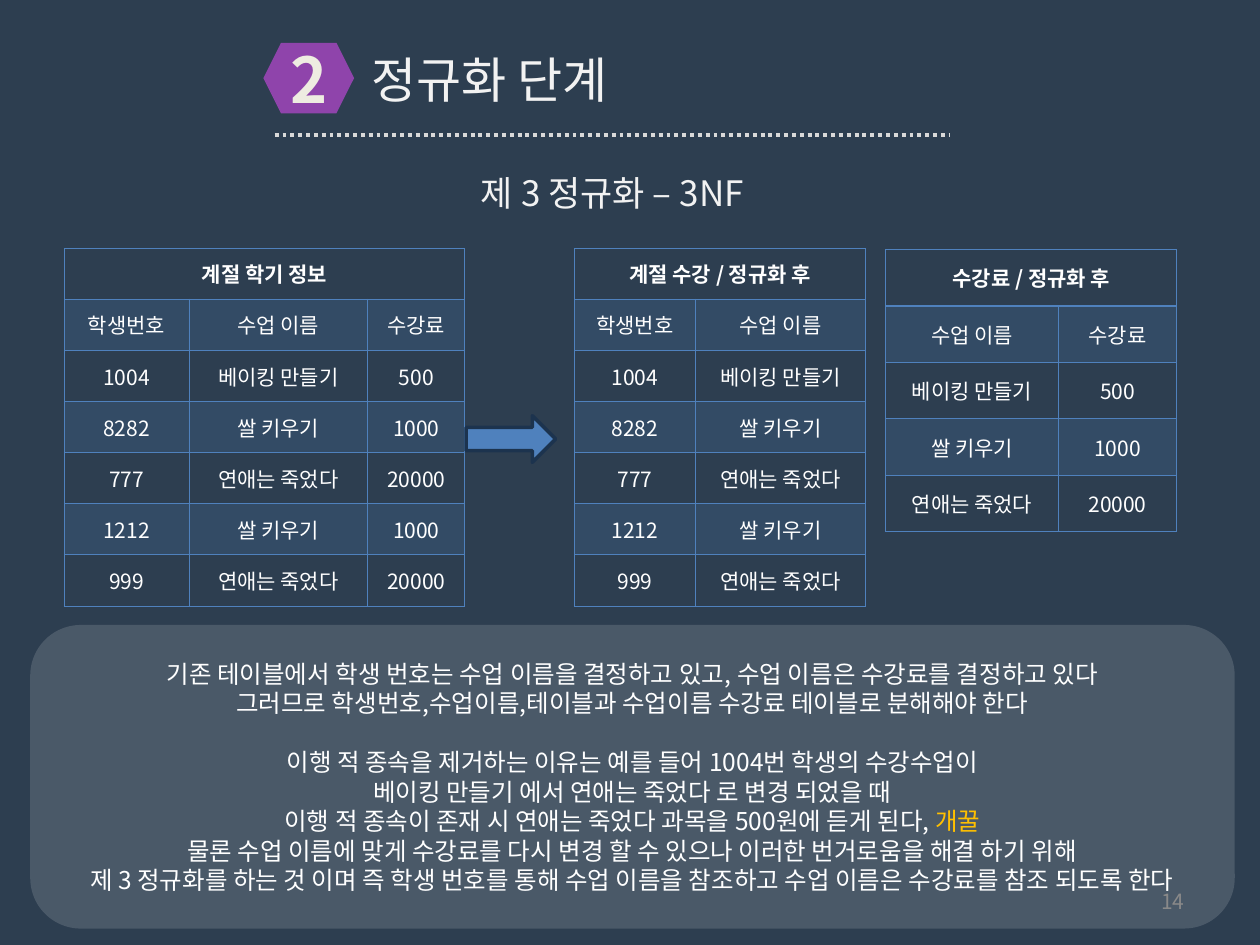
from lxml.etree import SubElement
from pptx import Presentation
from pptx.dml.color import RGBColor
from pptx.enum.dml import MSO_LINE
from pptx.enum.shapes import MSO_CONNECTOR, MSO_SHAPE
from pptx.enum.text import MSO_ANCHOR, PP_ALIGN
from pptx.oxml.ns import qn
from pptx.util import Inches, Pt

FONT = "Noto Sans CJK KR"
COLORS = {
    "background": "2D3E50", "badge": "8F44AB", "badge_text": "EEECE1",
    "heading": "F2F2F2", "rule": "D9D9D9", "blue": "4F81BD",
    "arrow_edge": "1C334E", "white": "FFFFFF", "accent": "FFC000",
    "page": "898989",
}
COURSES = [
    ("1004", "베이킹 만들기", "500"),
    ("8282", "쌀 키우기", "1000"),
    ("777", "연애는 죽었다", "20000"),
    ("1212", "쌀 키우기", "1000"),
    ("999", "연애는 죽었다", "20000"),
]
HEADERS = ("학생번호", "수업 이름", "수강료")
# Each paragraph is a list of (text, color) runs; each group is set apart by a gap.
EXPLANATION = [
    [
        [("기존 테이블에서 학생 번호는 수업 이름을 결정하고 있고, 수업 이름은 수강료를 결정하고 있다", "white")],
        [("그러므로 학생번호,수업이름,테이블과 수업이름 수강료 테이블로 분해해야 한다", "white")],
    ],
    [
        [("이행 적 종속을 제거하는 이유는 예를 들어 1004번 학생의 수강수업이", "white")],
        [("베이킹 만들기 에서 연애는 죽었다 로 변경 되었을 때", "white")],
        [("이행 적 종속이 존재 시 연애는 죽었다 과목을 500원에 듣게 된다, ", "white"),
         ("개꿀", "accent")],
        [("물론 수업 이름에 맞게 수강료를 다시 변경 할 수 있으나 이러한 번거로움을 해결 하기 위해", "white")],
        [("제 3 정규화를 하는 것 이며 즉 학생 번호를 통해 수업 이름을 참조하고 "
          "수업 이름은 수강료를 참조 되도록 한다", "white")],
    ],
]


def rgb(name):
    return RGBColor.from_string(COLORS[name])


def style(paragraph, size, color, bold=False, align=PP_ALIGN.CENTER):
    paragraph.alignment = align
    font = paragraph.font
    font.size, font.bold, font.name = Pt(size), bold, FONT
    font.color.rgb = rgb(color)
    defaults = paragraph._p.pPr.find(qn("a:defRPr"))
    SubElement(defaults, qn("a:ea"), typeface=FONT)


def fill_solid(fill, color, opacity=100):
    fill.solid()
    fill.fore_color.rgb = rgb(color)
    if opacity < 100:
        srgb = fill._xPr.find(qn("a:solidFill"))[0]
        SubElement(srgb, qn("a:alpha"), val=str(opacity * 1000))


def add_filled(shapes, kind, box, color, opacity=100):
    """Add a preset shape with a plain fill, no outline and no shadow."""
    shape = shapes.add_shape(kind, *map(Inches, box))
    shape.shadow.inherit = False
    fill_solid(shape.fill, color, opacity)
    shape.line.fill.background()
    return shape


def add_label(shapes, box, text, size, color, align, anchor=MSO_ANCHOR.TOP):
    frame = shapes.add_textbox(*map(Inches, box)).text_frame
    frame.word_wrap = True
    frame.vertical_anchor = anchor
    frame.text = text
    style(frame.paragraphs[0], size, color, align=align)


def add_heading(slide, left, top, width):
    """Place the numbered badge, the title and the dotted rule as a group."""
    shapes = slide.shapes.add_group_shape().shapes
    badge = add_filled(shapes, MSO_SHAPE.HEXAGON, (left, top, 0.72, 0.56), "badge")
    badge.text_frame.text = "2"
    badge.text_frame.vertical_anchor = MSO_ANCHOR.MIDDLE
    style(badge.text_frame.paragraphs[0], 36, "badge_text", bold=True)
    add_label(shapes, (left + 0.76, top, width - 0.76, 0.57),
              "정규화 단계", 28, "heading", PP_ALIGN.LEFT)
    rule_y = Inches(top + 0.73)
    rule = shapes.add_connector(MSO_CONNECTOR.STRAIGHT, Inches(left + 0.09), rule_y,
                                Inches(left + 5.45), rule_y)
    rule.line.color.rgb = rgb("rule")
    rule.line.width = Pt(2.25)
    rule.line.dash_style = MSO_LINE.ROUND_DOT
    SubElement(rule._element.spPr, qn("a:effectLst"))


def set_borders(cell, top, bottom):
    properties = cell._tc.get_or_add_tcPr()
    for side, width in (("L", 0.45), ("R", 0.45), ("T", top), ("B", bottom)):
        line = SubElement(properties, qn(f"a:ln{side}"), w=str(Pt(width)))
        solid = SubElement(line, qn("a:solidFill"))
        SubElement(solid, qn("a:srgbClr"), val=COLORS["blue"])


def add_relation(slide, box, title, column_widths, rows):
    """Place a table with a merged title row, then header and data rows."""
    grid = [(title,) + ("",) * (len(column_widths) - 1)] + rows
    table = slide.shapes.add_table(len(grid), len(column_widths),
                                   *map(Inches, box)).table
    table.first_row = table.horz_banding = False
    for column, width in zip(table.columns, column_widths):
        column.width = Inches(width)
    for r, values in enumerate(grid):
        table.rows[r].height = Inches(box[3] / len(grid))
        for c, value in enumerate(values):
            cell = table.cell(r, c)
            set_borders(cell, top=0.96 if r == 1 else 0.45,
                        bottom=0.96 if r == 0 else 0.45)
            if r % 2:
                fill_solid(cell.fill, "blue", 20)
            else:
                cell.fill.background()
            cell.vertical_anchor = MSO_ANCHOR.MIDDLE
            cell.text = value
            style(cell.text_frame.paragraphs[0], 12, "white", bold=r == 0)
    table.cell(0, 0).merge(table.cell(0, len(column_widths) - 1))


def add_arrow(slide, box):
    arrow = add_filled(slide.shapes, MSO_SHAPE.RIGHT_ARROW, box, "blue")
    arrow.line.color.rgb = rgb("arrow_edge")
    arrow.line.width = Pt(2)


def add_explanation(slide, box):
    panel = add_filled(slide.shapes, MSO_SHAPE.ROUNDED_RECTANGLE, box, "white", 14)
    frame = panel.text_frame
    frame.word_wrap = True
    frame.vertical_anchor = MSO_ANCHOR.MIDDLE
    line_height = Pt(16.8)
    paragraph = None
    for g, group in enumerate(EXPLANATION):
        for i, runs in enumerate(group):
            paragraph = frame.add_paragraph() if paragraph else frame.paragraphs[0]
            paragraph.line_spacing = line_height
            if g and i == 0:
                paragraph.space_before = line_height
            style(paragraph, 14, "white")
            for text, color in runs:
                run = paragraph.add_run()
                run.text = text
                if color != "white":
                    run.font.color.rgb = rgb(color)


def main():
    deck = Presentation()
    deck.slide_width, deck.slide_height = Inches(10), Inches(7.5)
    slide = deck.slides.add_slide(deck.slide_layouts[6])
    fill_solid(slide.background.fill, "background")

    add_heading(slide, 2.09, 0.34, 6.04)
    add_label(slide.shapes, (2.22, 1.31, 5.28, 0.44), "제 3 정규화 – 3NF",
              20, "heading", PP_ALIGN.CENTER)

    full = [HEADERS] + COURSES
    enrolment = [row[:2] for row in full]
    fees = list(dict.fromkeys(row[1:] for row in full))
    add_relation(slide, (0.51, 1.97, 3.18, 2.84), "계절 학기 정보",
                 (0.99, 1.42, 0.77), full)
    add_relation(slide, (4.56, 1.97, 2.31, 2.84), "계절 수강 / 정규화 후",
                 (0.96, 1.35), enrolment)
    add_relation(slide, (7.03, 1.98, 2.31, 2.24), "수강료 / 정규화 후",
                 (1.37, 0.94), fees)
    add_arrow(slide, (3.7, 3.3, 0.71, 0.37))
    add_explanation(slide, (0.24, 4.96, 9.56, 2.41))
    add_label(slide.shapes, (7.17, 6.95, 2.33, 0.4), "14", 12, "page",
              PP_ALIGN.RIGHT, MSO_ANCHOR.MIDDLE)
    deck.save("out.pptx")


if __name__ == "__main__":
    main()
